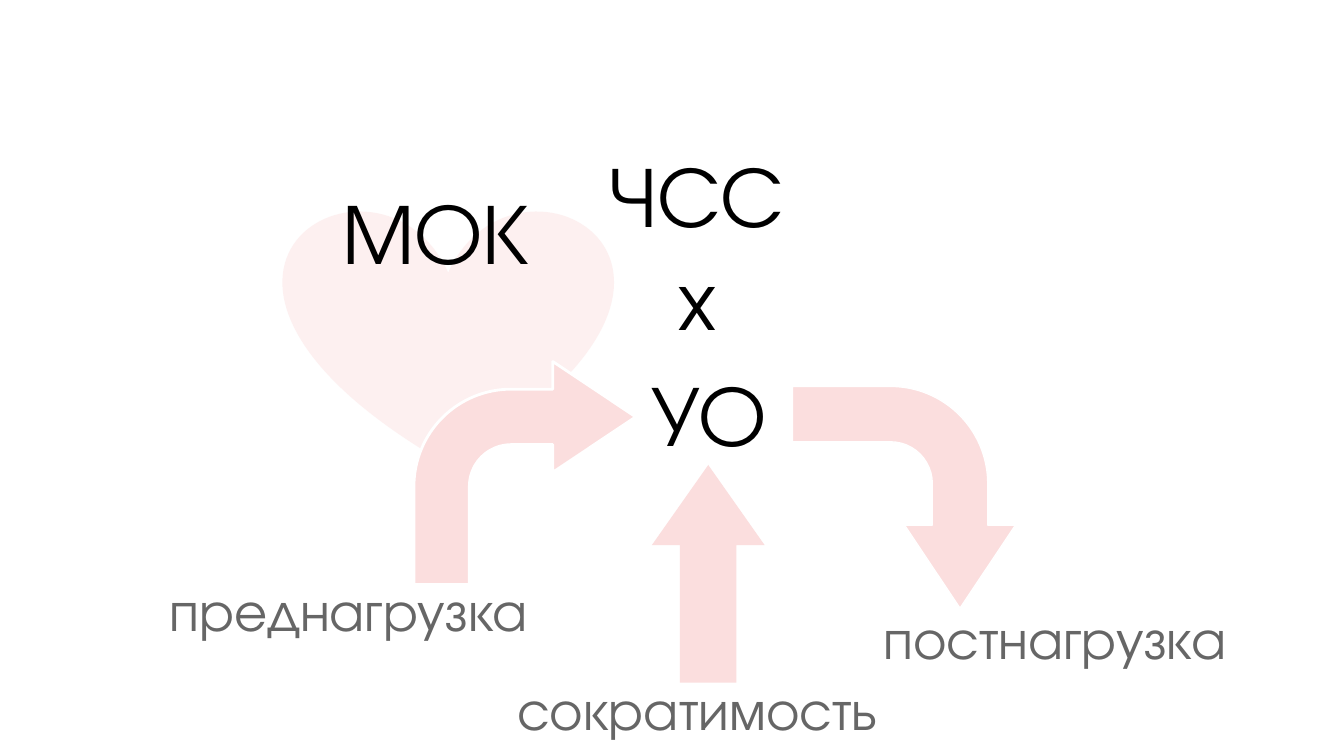
"""Builds a slide on the factors that determine cardiac output."""
import dataclasses

import lxml.etree
import pptx
import pptx.dml.color
import pptx.enum.shapes
import pptx.enum.text
import pptx.oxml.ns
import pptx.util

Inches = pptx.util.Inches
Shape = pptx.enum.shapes.MSO_SHAPE


@dataclasses.dataclass(frozen=True)
class Theme:
    font: str = "TeX Gyre Adventor"
    term_size: int = 46
    factor_size: int = 30
    term: str = "000000"
    factor: str = "666666"
    heart: str = "F3A6A6"
    arrow: str = "FBDEDE"
    outline: str = "FFFFFF"


THEME = Theme()
BENT = (0.25, 0.25, 0.374, 0.438)


def rgb(color):
    return pptx.dml.color.RGBColor.from_string(color)


def add_figure(s, kind, box, color, adjustments=(), rotation=0, line_width=0):
    sp = s.shapes.add_shape(kind, *map(Inches, box))
    sp.shadow.inherit = False
    sp.rotation = rotation
    for i, value in enumerate(adjustments):
        sp.adjustments[i] = value
    sp.fill.solid()
    sp.fill.fore_color.rgb = rgb(color)
    if line_width:
        sp.line.color.rgb = rgb(THEME.outline)
        sp.line.width = pptx.util.Pt(line_width)
    else:
        sp.line.fill.background()
    return sp


def set_opacity(sp, percent):
    qn = pptx.oxml.ns.qn
    color = sp._element.spPr.find(qn("a:solidFill")).find(qn("a:srgbClr"))
    lxml.etree.SubElement(color, qn("a:alpha"), val=str(percent * 1000))


def write(sp, box, text, size, color):
    sp.left, sp.top, sp.width, sp.height = map(Inches, box)
    tf = sp.text_frame
    tf.word_wrap = True
    tf.auto_size = pptx.enum.text.MSO_AUTO_SIZE.NONE
    tf.vertical_anchor = pptx.enum.text.MSO_ANCHOR.BOTTOM
    tf.margin_left = tf.margin_right = Inches(0.1)
    tf.margin_top = tf.margin_bottom = Inches(0.1)
    tf.text = text
    for p in tf.paragraphs:
        p.alignment = pptx.enum.text.PP_ALIGN.CENTER
        for r in p.runs:
            r.font.name = THEME.font
            r.font.size = pptx.util.Pt(size)
            r.font.color.rgb = rgb(color)


def add_label(s, box, text, size, color):
    write(s.shapes.add_textbox(*map(Inches, box)), box, text, size, color)


def main():
    prs = pptx.Presentation()
    prs.slide_width = Inches(10)
    prs.slide_height = prs.slide_width * 9 // 16
    s = prs.slides.add_slide(prs.slide_layouts[5])

    title = s.shapes.title
    write(title, (2.28, 1.12, 1.93, 1.08), "МОК", THEME.term_size, THEME.term)
    heart = add_figure(s, Shape.HEART, (2.11, 1.55, 2.45, 1.91), THEME.heart)
    set_opacity(heart, 16)
    title._element.addprevious(heart._element)

    for box, text in (
        ((3.3, 2.47, 3.95, 1.08), "УО"),
        ((3.21, 1.61, 3.95, 1.08), "ЧСС\nх"),
    ):
        add_label(s, box, text, THEME.term_size, THEME.term)

    for kind, box, adjustments, rotation, line_width in (
        (Shape.BENT_ARROW, (3.08, 2.69, 1.65, 1.66), BENT, 0, 1.5),
        (Shape.RIGHT_ARROW, (4.46, 3.85, 1.62, 0.84), (0.5, 0.71), 270, 0),
        (Shape.BENT_ARROW, (5.9, 2.87, 1.65, 1.66), BENT, 90, 0.75),
    ):
        add_figure(s, kind, box, THEME.arrow, adjustments, rotation, line_width)

    for box, text in (
        ((0.62, 4.35, 3.95, 0.53), "преднагрузка"),
        ((6.33, 3.66, 3.04, 1.43), "постнагрузка"),
        ((3.71, 4.78, 2.96, 0.84), "сократимость"),
    ):
        add_label(s, box, text, THEME.factor_size, THEME.factor)

    prs.save("out.pptx")


if __name__ == "__main__":
    main()
